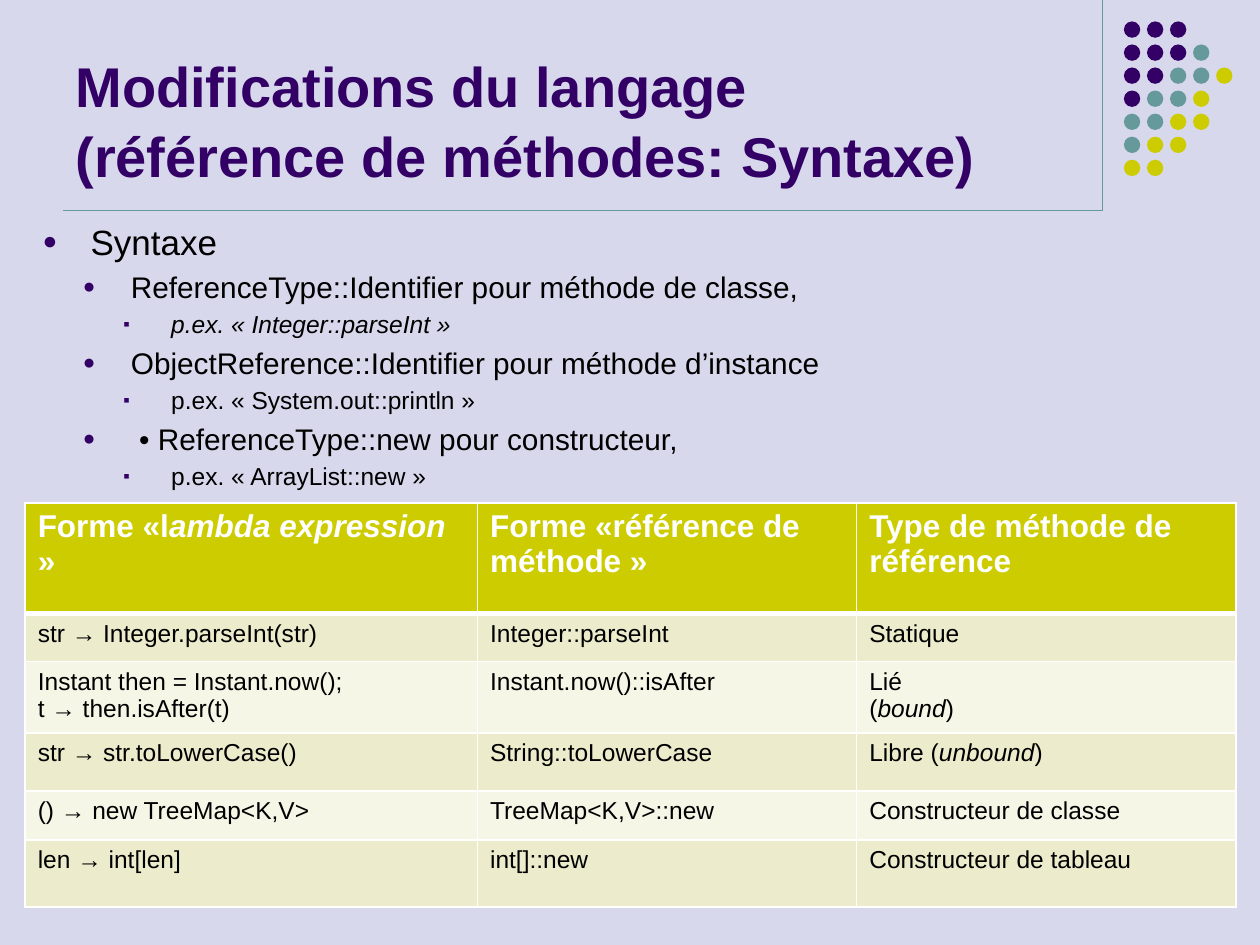
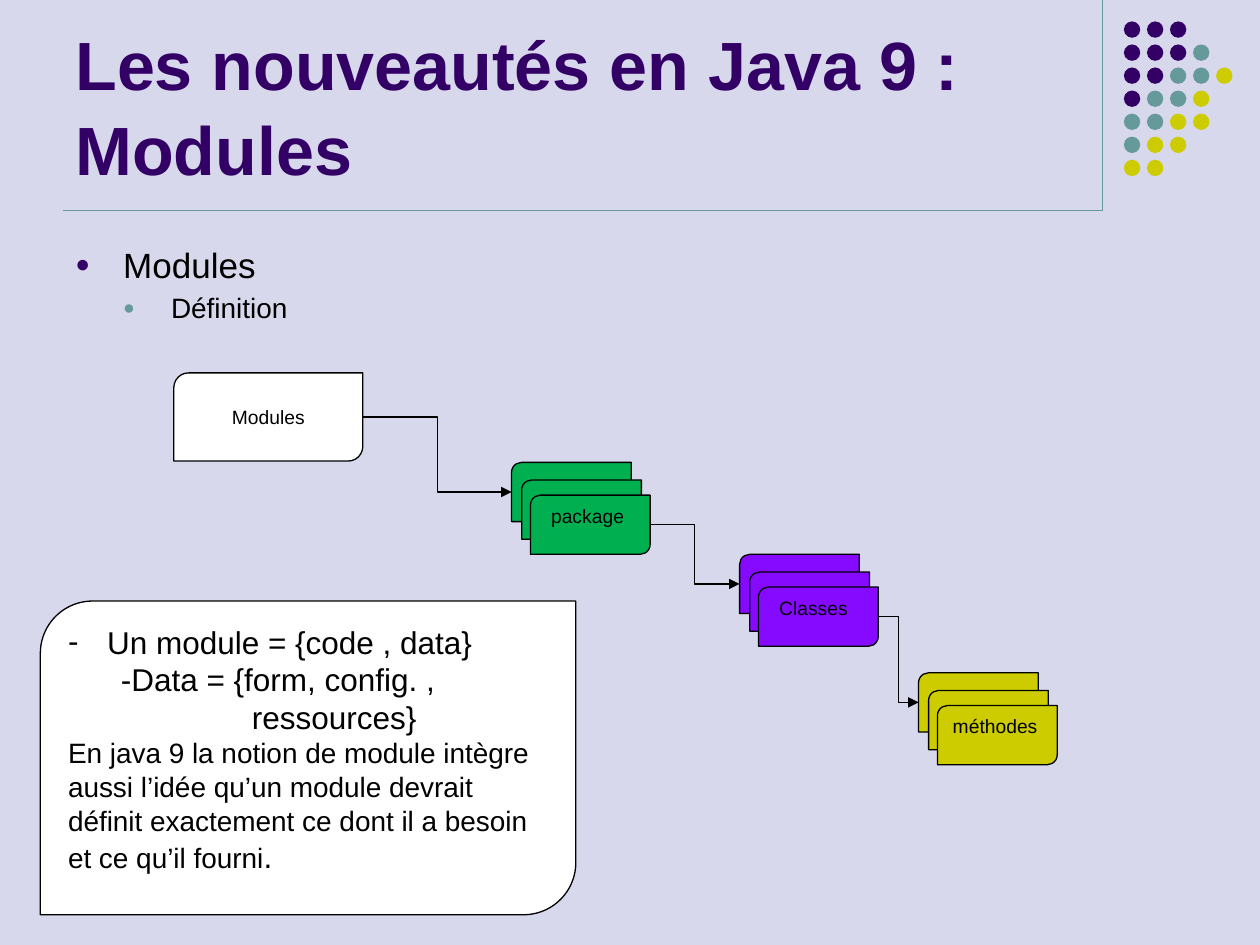
from lxml.etree import SubElement
from pptx import Presentation
from pptx.dml.color import RGBColor
from pptx.enum.shapes import MSO_CONNECTOR as Link, MSO_SHAPE as Preset
from pptx.enum.text import MSO_ANCHOR as Anchor, PP_ALIGN as Align
from pptx.oxml.ns import qn
from pptx.util import Inches, Pt

FONT = "Arial"
INK, WHITE, BACKDROP = "000000", "FFFFFF", "D8D8EC"
PURPLE, TEAL, LIME = "330066", "669999", "CCCC00"
GREEN, VIOLET = "00B050", "850AFF"
BANDS = ["ECECCC", "F6F6E7"]
DOT_COLORS = {"P": PURPLE, "T": TEAL, "L": LIME}
DOT_ROWS = ["PPP", "PPPT", "PPTTL", "PTTL", "TTLL", "TLL", "LL"]
CARD_STEPS = [(0, 0), (0.8, 1.4), (1.5, 2.6)]
CARD_W, CARD_H = 9.5, 4.7


def rgb(value):
    """Turn a hex string into a colour."""
    return RGBColor.from_string(value)


def add_xml(parent, tag, **attributes):
    """Append a drawing element and return it."""
    return SubElement(parent, qn(f"a:{tag}"), {k: str(v) for k, v in attributes.items()})


class Deck:
    """Hold the style and the current slide on a grid of 100 columns by 75 rows."""

    def __init__(self):
        """Open a deck with its size and background."""
        self.show = Presentation()
        self.show.slide_width, self.show.slide_height = Inches(10), Inches(7.5)
        self.unit = self.show.slide_width / 100
        backdrop = self.show.slide_master.background.fill
        backdrop.solid()
        backdrop.fore_color.rgb = rgb(BACKDROP)

    def grid(self, *lengths):
        """Turn grid units into slide lengths."""
        return [round(length * self.unit) for length in lengths]

    def new_slide(self, title, size):
        """Start a slide with the shared rules, dots and title."""
        self.slide = self.show.slides.add_slide(self.show.slide_layouts[6])
        self.line((87.5, 0), (87.5, 16.7), TEAL)
        for row, colors in enumerate(DOT_ROWS):
            for column, color in enumerate(colors):
                place = (89.2 + 1.83 * column, 1.7 + 1.83 * row, 1.3, 1.3)
                self.shape(Preset.OVAL, place, DOT_COLORS[color])
        self.line((5, 16.7), (87.5, 16.7), TEAL)
        frame = self.text_box((5, 1.3, 82.5, 14.2), Anchor.BOTTOM)
        heading = frame.paragraphs[0]
        heading.line_spacing = 1.04
        self.add_runs(heading, title, size, PURPLE, bold=True)

    def add_runs(self, paragraph, text, size, color=INK, bold=False):
        """Add runs to a paragraph, with italics between asterisks."""
        for row, line in enumerate(text.split("\n")):
            if row:
                paragraph.add_line_break()
            for part, words in enumerate(line.split("*")):
                if words:
                    run = paragraph.add_run()
                    run.text = words
                    run.font.name, run.font.size = FONT, Pt(size)
                    run.font.bold, run.font.italic = bold, part % 2 == 1
                    run.font.color.rgb = rgb(color)

    def next_paragraph(self, frame):
        """Return the unused first paragraph or a new one."""
        first = frame.paragraphs[0]
        return first if not first.runs else frame.add_paragraph()

    def indent(self, paragraph, left, hanging=0):
        """Set the left margin and the hanging indent."""
        margin, first = self.grid(left, -hanging)
        properties = paragraph._p.get_or_add_pPr()
        properties.set("marL", str(margin))
        properties.set("indent", str(first))
        return properties

    def text_box(self, place, anchor=Anchor.TOP):
        """Add a wrapping text box and return its frame."""
        frame = self.slide.shapes.add_textbox(*self.grid(*place)).text_frame
        frame.word_wrap, frame.vertical_anchor = True, anchor
        return frame

    def outline(self, place, items, levels):
        """Add a bulleted outline from (level, text) items."""
        frame = self.text_box(place)
        for level, text in items:
            size, left, bullet, share, color = levels[level]
            paragraph = self.next_paragraph(frame)
            properties = self.indent(paragraph, left, 3.8)
            add_xml(add_xml(properties, "spcBef"), "spcPct", val=20000)
            add_xml(add_xml(properties, "buClr"), "srgbClr", val=color)
            add_xml(properties, "buSzPct", val=share * 1000)
            add_xml(properties, "buFont", typeface=FONT)
            add_xml(properties, "buChar", char=bullet)
            self.add_runs(paragraph, text, size)

    def shape(self, preset, place, fill, border=None):
        """Add a preset shape and return its text frame."""
        shape = self.slide.shapes.add_shape(preset, *self.grid(*place))
        shape.shadow.inherit = False
        shape.fill.solid()
        shape.fill.fore_color.rgb = rgb(fill)
        if border:
            shape.line.color.rgb, shape.line.width = rgb(border), Pt(0.75)
        else:
            shape.line.fill.background()
        frame = shape.text_frame
        frame.vertical_anchor = Anchor.TOP
        frame.paragraphs[0].alignment = Align.LEFT
        return frame

    def card(self, place, fill):
        """Add an outlined card with two rounded corners."""
        return self.shape(Preset.ROUND_2_DIAG_RECTANGLE, place, fill, INK)

    def stack(self, left, top, fill, label):
        """Add three overlapping cards with a label on the front one."""
        for across, down in CARD_STEPS:
            front = self.card((left + across, top + down, CARD_W, CARD_H), fill)
        self.add_runs(front.paragraphs[0], label, 11)

    def line(self, start, end, color, kind=Link.STRAIGHT):
        """Add a connector, with an arrowhead when it is bent."""
        line = self.slide.shapes.add_connector(kind, *self.grid(*start, *end))
        line.line.color.rgb, line.line.width = rgb(color), Pt(0.75)
        if kind == Link.ELBOW:
            add_xml(line.element.spPr.get_or_add_ln(), "tailEnd", type="triangle")
        add_xml(line.element.spPr, "effectLst")

    def table(self, place, widths, heights, rows):
        """Add a table with a header, banded rows and white borders."""
        graphic = self.slide.shapes.add_table(len(rows), len(widths), *self.grid(*place))
        table = graphic.table
        for column, width in zip(table.columns, self.grid(*widths)):
            column.width = width
        for row, height in zip(table.rows, self.grid(*heights)):
            row.height = height
        for r, texts in enumerate(rows):
            for c, text in enumerate(texts):
                cell, header = table.cell(r, c), r == 0
                thick = {"lnB"} if header else {"lnT"} if r == 1 else set()
                properties = cell._tc.get_or_add_tcPr()
                for side in ("lnL", "lnR", "lnT", "lnB"):
                    width = Pt(3 if side in thick else 1)
                    border = add_xml(properties, side, w=width)
                    add_xml(add_xml(border, "solidFill"), "srgbClr", val=WHITE)
                cell.fill.solid()
                cell.fill.fore_color.rgb = rgb(LIME if header else BANDS[(r - 1) % 2])
                for entry in text.split("\n"):
                    paragraph = self.next_paragraph(cell.text_frame)
                    self.add_runs(paragraph, entry, 18 if header else 14,
                                  WHITE if header else INK, header)


def method_references(deck):
    """Build the slide on method reference syntax."""
    deck.new_slide("Modifications du langage\n(référence de méthodes: Syntaxe)", 32)
    levels = [(20, 3.8, "●", 70, PURPLE), (17, 7, "●", 70, PURPLE), (14, 10.2, "▪", 75, PURPLE)]
    deck.outline((2.4, 17, 93.8, 58), [
        (0, "Syntaxe"),
        (1, "ReferenceType::Identifier pour méthode de classe,"),
        (2, "*p.ex. « Integer::parseInt »*"),
        (1, "ObjectReference::Identifier pour méthode d’instance"),
        (2, "p.ex. « System.out::println »"),
        (1, " • ReferenceType::new pour constructeur,"),
        (2, "p.ex. « ArrayList::new »"),
    ], levels)
    deck.table((2, 39.9, 96.1, 31.7), [35.9, 30.1, 30.1], [8.8, 3.8, 5.3, 4.6, 3.9, 5.3], [
        ("Forme «l*ambda expression *»", "Forme «référence de méthode »",
         "Type de méthode de référence"),
        ("str → Integer.parseInt(str)", "Integer::parseInt", "Statique"),
        ("Instant then = Instant.now();\nt → then.isAfter(t)", "Instant.now()::isAfter",
         "Lié\n(*bound*)"),
        ("str → str.toLowerCase()", "String::toLowerCase", "Libre (*unbound*)"),
        ("() → new TreeMap<K,V>", "TreeMap<K,V>::new", "Constructeur de classe"),
        ("len → int[len]", "int[]::new", "Constructeur de tableau"),
    ])


def modules(deck):
    """Build the slide on modules and what they hold."""
    deck.new_slide("Les nouveautés en Java 9 : Modules", 39)
    levels = [(20, 3.8, "●", 70, PURPLE), (16, 7.6, "●", 70, TEAL)]
    deck.outline((5, 18.8, 90, 48.2), [(0, "Modules"), (1, "Définition")], levels)

    stacks = [(40.6, 36.7, GREEN, " package"), (58.7, 44, VIOLET, " Classes"),
              (72.9, 53.4, LIME, "méthodes")]
    for stack in reversed(stacks):
        deck.stack(*stack)
    module = deck.card((13.8, 29.6, 15, 7), WHITE)
    module.vertical_anchor = Anchor.MIDDLE
    module.paragraphs[0].alignment = Align.CENTER
    deck.add_runs(module.paragraphs[0], "Modules", 11)

    across, down = CARD_STEPS[-1]
    entries = [(left, top + CARD_H / 2) for left, top, *_ in stacks]
    exits = [(x + across + CARD_W, y + down) for x, y in entries]
    for start, end in zip([(28.8, 33.1), *exits], entries):
        deck.line(start, end, INK, Link.ELBOW)

    definition = deck.card((3.2, 47.7, 42.5, 24.9), WHITE)
    for text, left, hanging in [("Un module = {code , data}", 3.1, 3.1),
                                ("-Data = {form, config. ,", 4.2, 0),
                                ("ressources}", 14.6, 0)]:
        paragraph = deck.next_paragraph(definition)
        paragraph.alignment = Align.LEFT
        properties = deck.indent(paragraph, left, hanging)
        if hanging:
            add_xml(properties, "buFont", typeface=FONT)
            add_xml(properties, "buChar", char="-")
        deck.add_runs(paragraph, text, 18)
    summary = definition.add_paragraph()
    summary.alignment = Align.LEFT
    deck.add_runs(summary, "En java 9 la notion de module intègre aussi l’idée qu’un module "
                  "devrait définit exactement ce dont il a besoin et ce qu’il fourni", 16)
    deck.add_runs(summary, ".", 18)


def main():
    """Build both slides and save them."""
    deck = Deck()
    method_references(deck)
    modules(deck)
    deck.show.save("out.pptx")


if __name__ == "__main__":
    main()
